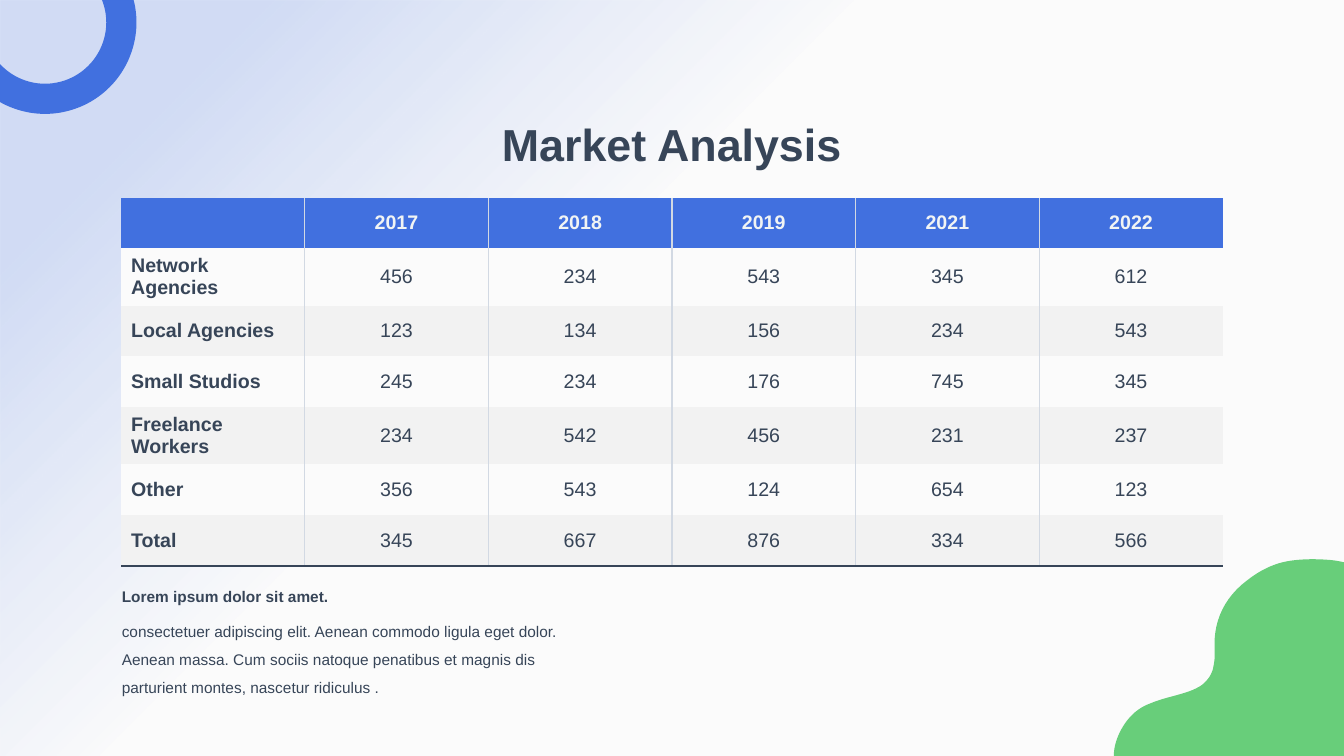
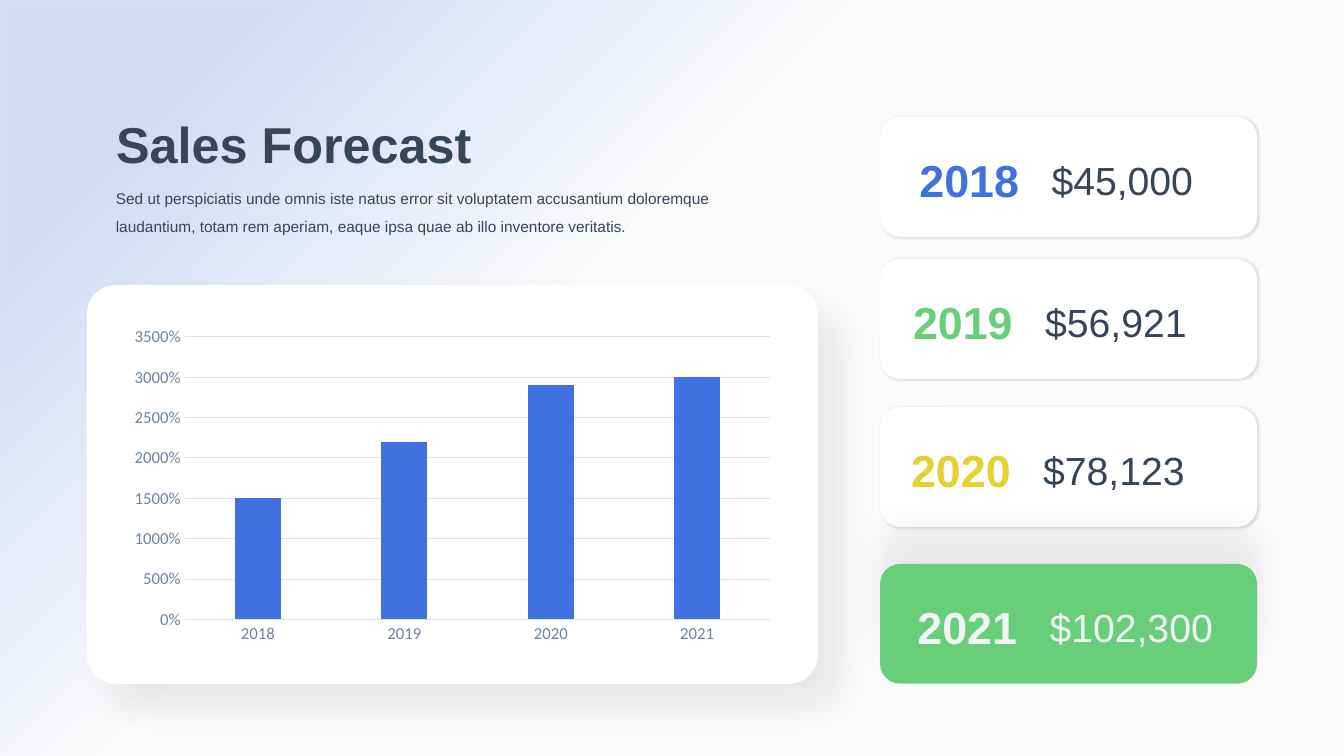
import dataclasses
import typing

import pptx
import pptx.chart.data
import pptx.dml.color
import pptx.enum.chart
import pptx.enum.shapes
import pptx.enum.text
import pptx.oxml.ns
import pptx.shapes.base
import pptx.slide
import pptx.text.text
import pptx.util
from lxml import etree

Cm = pptx.util.Cm
Pt = pptx.util.Pt
qn = pptx.oxml.ns.qn
Align = pptx.enum.text.PP_ALIGN
Anchor = pptx.enum.text.MSO_ANCHOR
Preset = pptx.enum.shapes.MSO_SHAPE

COLORS = {
    "paper": "FBFBFB",
    "blue": "4170DF",
    "green": "68CE7A",
    "yellow": "E7D031",
    "ink": "374558",
    "pale": "F1F4F4",
    "band": "F2F2F2",
    "rule": "D2D9E3",
    "grid": "DDE3EA",
    "axis": "6C84A3",
    "white": "FFFFFF",
    "black": "000000",
}
NO_STYLE_NO_GRID = "{2D5ABB26-0587-4C30-8999-92F81FD0307C}"
TITLE_ONLY = 5


@dataclasses.dataclass(frozen=True)
class Box:
    left: float
    top: float
    width: float
    height: float

    def lengths(self) -> tuple[int, int, int, int]:
        return Cm(self.left), Cm(self.top), Cm(self.width), Cm(self.height)


@dataclasses.dataclass(frozen=True)
class TextStyle:
    size: float
    color: str = "ink"
    bold: bool = False
    align: Align = Align.LEFT
    spacing: float = 1.0


@dataclasses.dataclass(frozen=True)
class Shadow:
    opacity: int
    blur: float
    distance: float
    direction: int


@dataclasses.dataclass(frozen=True)
class Forecast:
    year: str
    amount: str
    top: float
    text_left: float
    year_color: str
    amount_color: str = "ink"
    fill: str = "white"
    shadow: Shadow = Shadow(13, 2, 1, 29)


PAGE = Box(0, 0, 33.87, 19.05)
BODY = TextStyle(11, spacing=1.5)
LEAD = TextStyle(11, bold=True, spacing=1.5)

YEARS = ("2017", "2018", "2019", "2021", "2022")
MARKET = {
    "Network Agencies": (456, 234, 543, 345, 612),
    "Local Agencies": (123, 134, 156, 234, 543),
    "Small Studios": (245, 234, 176, 745, 345),
    "Freelance Workers": (234, 542, 456, 231, 237),
    "Other": (356, 543, 124, 654, 123),
    "Total": (345, 667, 876, 334, 566),
}
FORECASTS = (
    Forecast("2018", "$45,000", 2.95, 23.07, "blue"),
    Forecast("2019", "$56,921", 6.53, 22.91, "green"),
    Forecast("2020", "$78,123", 10.26, 22.86, "yellow"),
    Forecast("2021", "$102,300", 14.21, 23.02, "pale", "pale", "green", Shadow(7, 28, 25, 272)),
)
SALES = {"2018": 15, "2019": 22, "2020": 29, "2021": 30}

BLOB_START = (33.87, 14.17)
BLOB_CURVES = (
    ((33.5, 14.07), (32.79, 14.07), (32.41, 14.15)),
    ((32.05, 14.22), (31.72, 14.4), (31.45, 14.61)),
    ((30.84, 15.06), (30.61, 15.65), (30.61, 16.21)),
    ((30.61, 16.41), (30.63, 16.59), (30.58, 16.79)),
    ((30.56, 16.99), (30.4, 17.2), (30.23, 17.3)),
    ((29.9, 17.5), (29.39, 17.55), (28.98, 17.73)),
    ((28.7, 17.83), (28.47, 18.03), (28.3, 18.31)),
    ((28.17, 18.52), (28.07, 18.79), (28.07, 19.05)),
)
BLOB_CORNER = (33.87, 19.05)


def rgb(color: str) -> pptx.dml.color.RGBColor:
    return pptx.dml.color.RGBColor.from_string(COLORS[color])


def write(frame: pptx.text.text.TextFrame, words: str, style: TextStyle) -> None:
    frame.text = words
    for paragraph in frame.paragraphs:
        paragraph.alignment = style.align
        paragraph.line_spacing = style.spacing
        for run in paragraph.runs:
            run.font.name = "Arial"
            run.font.size = Pt(style.size)
            run.font.bold = style.bold
            run.font.color.rgb = rgb(style.color)


def add_text(shapes: typing.Any, box: Box, words: str, style: TextStyle) -> pptx.text.text.TextFrame:
    frame = shapes.add_textbox(*box.lengths()).text_frame
    frame.word_wrap = True
    frame.auto_size = pptx.enum.text.MSO_AUTO_SIZE.SHAPE_TO_FIT_TEXT
    write(frame, words, style)
    return frame


def set_title(slide: pptx.slide.Slide, box: Box, words: str, style: TextStyle) -> None:
    title = slide.shapes.title
    title.left, title.top, title.width, title.height = box.lengths()
    title.text_frame.vertical_anchor = Anchor.TOP
    title.text_frame.auto_size = pptx.enum.text.MSO_AUTO_SIZE.SHAPE_TO_FIT_TEXT
    write(title.text_frame, words, style)


def paint(shape: pptx.shapes.base.BaseShape, color: str, shadow: Shadow | None = None) -> None:
    shape.fill.solid()
    shape.fill.fore_color.rgb = rgb(color)
    shape.line.fill.background()
    shape.shadow.inherit = False
    if shadow:
        effects = shape._element.spPr.find(qn("a:effectLst"))
        outer = etree.SubElement(
            effects,
            qn("a:outerShdw"),
            blurRad=str(Pt(shadow.blur)),
            dist=str(Pt(shadow.distance)),
            dir=str(shadow.direction * 60000),
            algn="ctr",
            rotWithShape="0",
        )
        tone = etree.SubElement(outer, qn("a:srgbClr"), val=COLORS["black"])
        etree.SubElement(tone, qn("a:alpha"), val=str(shadow.opacity * 1000))


def set_background(master: pptx.slide.SlideMaster, slide: pptx.slide.Slide) -> None:
    master.background.fill.solid()
    master.background.fill.fore_color.rgb = rgb("paper")
    haze = slide.shapes.add_shape(Preset.RECTANGLE, *PAGE.lengths())
    paint(haze, "blue")
    haze.fill.gradient()
    haze.fill.gradient_angle = 315
    for stop, position, opacity in zip(haze.fill.gradient_stops, (0.13, 0.41), (22, 0)):
        stop.color.rgb = rgb("blue")
        stop.position = position
    for tone, opacity in zip(haze._element.spPr.iter(qn("a:srgbClr")), (22, 0)):
        etree.SubElement(tone, qn("a:alpha"), val=str(opacity * 1000))
    haze._element.nvSpPr.cNvPr.set("id", "20")
    master.shapes._spTree.insert(2, haze._element)


def add_blob(slide: pptx.slide.Slide, steps: int = 12) -> None:
    start = BLOB_START
    outline = [BLOB_START]
    for first, second, end in BLOB_CURVES:
        for step in range(1, steps + 1):
            t = step / steps
            weights = ((1 - t) ** 3, 3 * t * (1 - t) ** 2, 3 * t**2 * (1 - t), t**3)
            corners = (start, first, second, end)
            outline.append(tuple(sum(w * c[axis] for w, c in zip(weights, corners)) for axis in (0, 1)))
        start = end
    points = [(Cm(x), Cm(y)) for x, y in (*outline, BLOB_CORNER)]
    builder = slide.shapes.build_freeform(*points[0])
    builder.add_line_segments(points[1:], close=True)
    paint(builder.convert_to_shape(), "green")


def add_half_ring(slide: pptx.slide.Slide) -> None:
    ring = slide.shapes.add_shape(Preset.BLOCK_ARC, *Box(-1.17, -1.74, 4.61, 4.61).lengths())
    ring.adjustments[0] = 0
    ring.adjustments[1] = 108
    ring.adjustments[2] = 0.165
    ring.rotation = 330
    paint(ring, "blue")


def add_border(cell: typing.Any, side: str, color: str) -> None:
    line = etree.SubElement(cell._tc.get_or_add_tcPr(), qn(f"a:{side}"), w=str(Pt(1)))
    solid = etree.SubElement(line, qn("a:solidFill"))
    etree.SubElement(solid, qn("a:srgbClr"), val=COLORS[color])


def add_market_table(slide: pptx.slide.Slide) -> None:
    rows = [("", *YEARS), *((name, *counts) for name, counts in MARKET.items())]
    last_row, last_column = len(rows) - 1, len(YEARS)
    box = Box(3.05, 4.98, 27.77, 1.28 * len(rows))
    frame = slide.shapes.add_table(len(rows), last_column + 1, *box.lengths())
    table = frame.table
    table.horz_banding = False
    table._tbl.tblPr.find(qn("a:tableStyleId")).text = NO_STYLE_NO_GRID
    for r, entries in enumerate(rows):
        for c, entry in enumerate(entries):
            cell = table.cell(r, c)
            if c > 0:
                add_border(cell, "lnL", "rule")
            if c < last_column:
                add_border(cell, "lnR", "rule")
            if r == last_row:
                add_border(cell, "lnB", "ink")
            cell.fill.solid()
            cell.fill.fore_color.rgb = rgb("blue" if r == 0 else "paper" if r % 2 else "band")
            cell.vertical_anchor = Anchor.MIDDLE
            style = TextStyle(
                14,
                color="ink" if r else "pale",
                bold=r == 0 or c == 0,
                align=Align.CENTER if c else Align.LEFT,
            )
            write(cell.text_frame, str(entry), style)


def add_sales_chart(slide: pptx.slide.Slide) -> None:
    panel = slide.shapes.add_shape(Preset.ROUNDED_RECTANGLE, *Box(2.19, 7.18, 18.42, 10.06).lengths())
    panel.adjustments[0] = 0.074
    paint(panel, "white", Shadow(7, 28, 25, 45))

    sales = pptx.chart.data.CategoryChartData()
    sales.categories = list(SALES)
    sales.add_series("Series 1", list(SALES.values()))
    kind = pptx.enum.chart.XL_CHART_TYPE.COLUMN_CLUSTERED
    chart = slide.shapes.add_chart(kind, *Box(3.06, 8.07, 16.69, 8.31).lengths(), sales).chart
    chart.has_title = False
    chart.has_legend = False
    chart.font.name = "Calibri"
    chart.font.size = Pt(10)
    chart.font.color.rgb = rgb("ink")

    plot = chart.plots[0]
    plot.gap_width = 219
    plot.overlap = -27
    plot.vary_by_categories = False
    plot.series[0].format.fill.solid()
    plot.series[0].format.fill.fore_color.rgb = rgb("blue")

    years, values = chart.category_axis, chart.value_axis
    for axis in (years, values):
        axis.major_tick_mark = pptx.enum.chart.XL_TICK_MARK.NONE
        axis.tick_labels.font.name = "Calibri"
        axis.tick_labels.font.size = Pt(12)
        axis.tick_labels.font.color.rgb = rgb("axis")
    values.minimum_scale, values.maximum_scale, values.major_unit = 0, 35, 5
    values.tick_labels.number_format = "0%"
    values.tick_labels.number_format_is_linked = False
    values.format.line.fill.background()
    for line in (years.format.line, values.major_gridlines.format.line):
        line.color.rgb = rgb("grid")
        line.width = Pt(0.75)


def add_forecast_card(slide: pptx.slide.Slide, forecast: Forecast) -> None:
    card = slide.shapes.add_shape(Preset.ROUNDED_RECTANGLE, *Box(22.18, forecast.top, 9.5, 3.02).lengths())
    paint(card, forecast.fill, forecast.shadow)


def add_forecast_text(slide: pptx.slide.Slide, forecast: Forecast) -> None:
    pair = slide.shapes.add_group_shape().shapes
    left, top = forecast.text_left, forecast.top + 0.8
    year = TextStyle(32, forecast.year_color, bold=True)
    amount = TextStyle(28, forecast.amount_color)
    for frame in (
        add_text(pair, Box(left, top, 3.23, 1.47), forecast.year, year),
        add_text(pair, Box(left + 3.33, top + 0.08, 4.4, 1.3), forecast.amount, amount),
    ):
        frame.margin_left = frame.margin_top = frame.margin_right = Cm(0.1)
        frame.margin_bottom = 0
        frame.vertical_anchor = Anchor.MIDDLE


def build_market_slide(slide: pptx.slide.Slide) -> None:
    add_blob(slide)
    set_title(slide, Box(7.01, 2.82, 19.84, 1.63), "Market Analysis", TextStyle(32, bold=True, align=Align.CENTER))
    add_market_table(slide)
    add_text(slide.shapes, Box(2.82, 15.33, 12.07, 2.31), "consectetuer adipiscing elit. Aenean commodo ligula eget dolor. Aenean massa. Cum sociis natoque penatibus et magnis dis parturient montes, nascetur ridiculus .", BODY)
    add_text(slide.shapes, Box(2.82, 14.43, 12.07, 0.91), "Lorem ipsum dolor sit amet.", LEAD)
    add_half_ring(slide)


def build_sales_slide(slide: pptx.slide.Slide) -> None:
    add_sales_chart(slide)
    set_title(slide, Box(2.67, 2.72, 16.1, 1.8), "Sales Forecast", TextStyle(36, bold=True))
    add_text(slide.shapes, Box(2.67, 4.41, 16.1, 1.6), "Sed ut perspiciatis unde omnis iste natus error sit voluptatem accusantium doloremque laudantium, totam rem aperiam, eaque ipsa quae ab illo inventore veritatis.", BODY)
    for draw in (add_forecast_card, add_forecast_text):
        for forecast in FORECASTS:
            draw(slide, forecast)


def main() -> None:
    deck = pptx.Presentation()
    deck.slide_width, deck.slide_height = Cm(PAGE.width), Cm(PAGE.height)
    layout = deck.slide_layouts[TITLE_ONLY]
    market, sales = deck.slides.add_slide(layout), deck.slides.add_slide(layout)
    set_background(deck.slide_master, market)
    build_market_slide(market)
    build_sales_slide(sales)
    deck.save("out.pptx")


if __name__ == "__main__":
    main()
